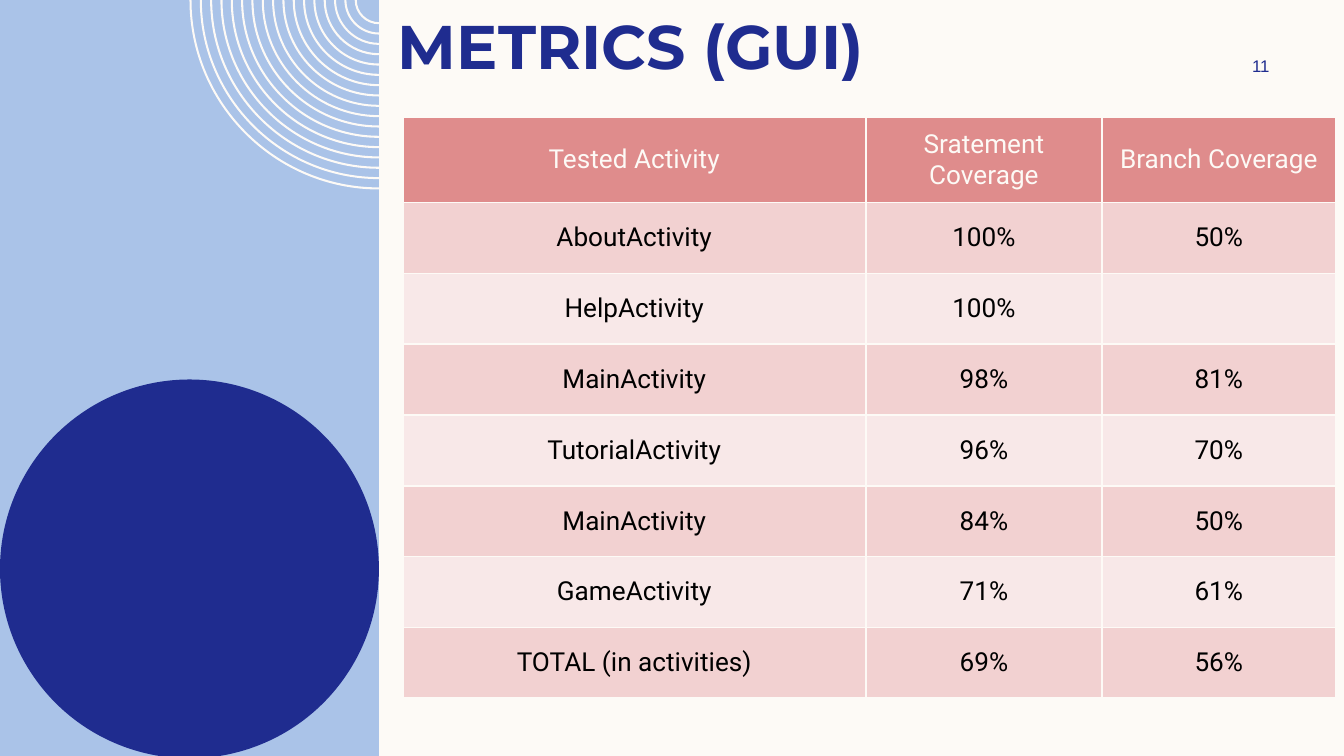
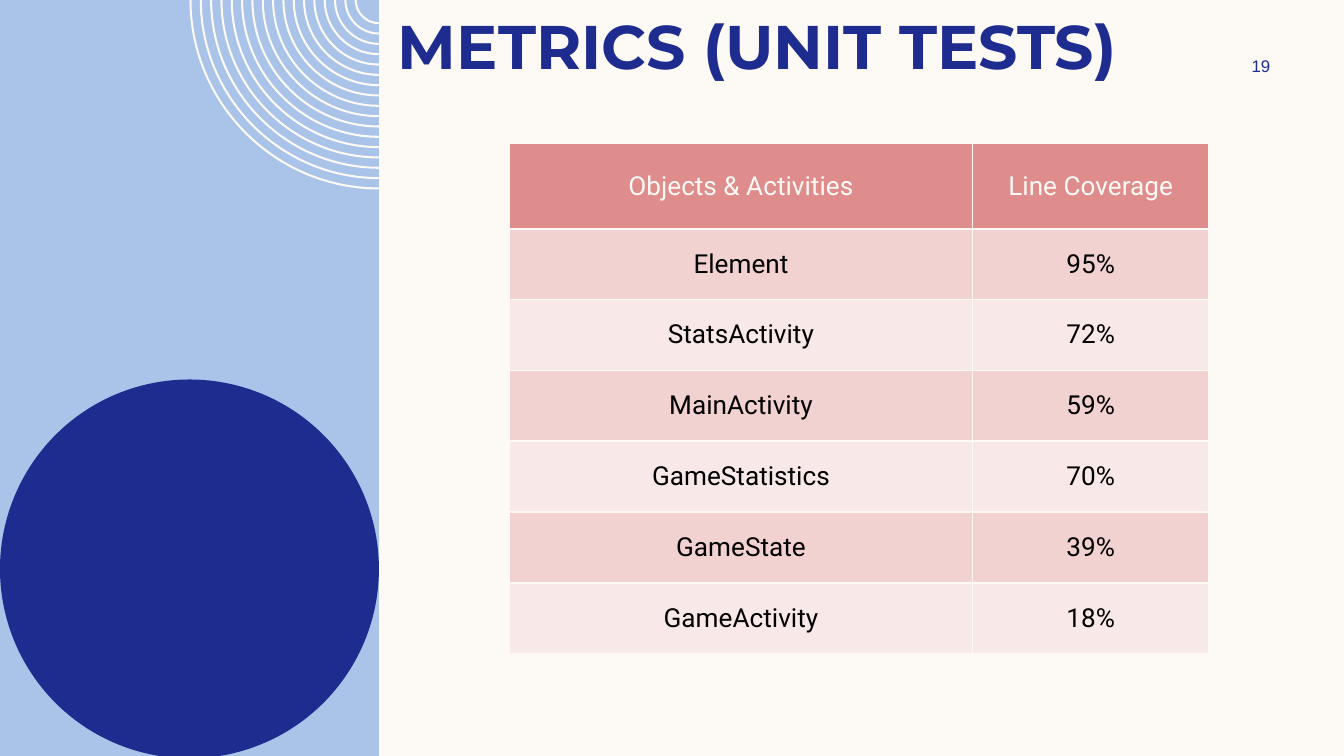
from lxml.etree import SubElement
from pptx import Presentation
from pptx.dml.color import RGBColor as RGB
from pptx.enum.shapes import MSO_SHAPE as SHAPE
from pptx.enum.text import MSO_ANCHOR as ANCHOR, MSO_AUTO_SIZE as AUTO, PP_ALIGN as ALIGN
from pptx.oxml.ns import qn
from pptx.util import Pt

CREAM = RGB(0xFD, 0xFA, 0xF6)
SKY = RGB(0xAA, 0xC3, 0xE8)
NAVY = RGB(0x1F, 0x2C, 0x8F)
ROSE = RGB(0xDF, 0x8C, 0x8C)
PINK = RGB(0xF2, 0xD1, 0xD1)
BLUSH = RGB(0xF8, 0xE8, 0xE8)
BLACK = RGB(0, 0, 0)

WIDE, HIGH = 720, 405
PANEL = (0, 0, 203, 406.3)
TITLE = (206, 0.7, 482, 45.4)
NUMBER = (646.3, 27, 58.3, 16.6)
RINGS = 17
BEND = 0.55  # handle length of a quarter circle, as a share of its radius
HEAD, ROW = 45.8, 37.95

GUI = [
    ("Tested Activity", "Sratement Coverage", "Branch Coverage"),
    ("AboutActivity", "100%", "50%"),
    ("HelpActivity", "100%", ""),
    ("MainActivity", "98%", "81%"),
    ("TutorialActivity", "96%", "70%"),
    ("MainActivity", "84%", "50%"),
    ("GameActivity", "71%", "61%"),
    ("TOTAL (in activities)", "69%", "56%"),
]
UNIT = [
    ("Objects & Activities", "Line Coverage"),
    ("Element", "95%"),
    ("StatsActivity", "72%"),
    ("MainActivity", "59%"),
    ("GameStatistics", "70%"),
    ("GameState", "39%"),
    ("GameActivity", "18%"),
]


def style(para, name, size, color, bold=False, align=ALIGN.CENTER):
    para.alignment = align
    for run in para.runs:
        font = run.font
        font.name, font.size, font.bold = name, Pt(size), bold
        font.color.rgb = color


def paint(shape, color):
    shape.shadow.inherit = False
    shape.fill.solid()
    shape.fill.fore_color.rgb = color
    shape.line.fill.background()
    return shape


def bend(line, start, down):
    """Turn a straight segment into a quarter circle, leaving start upright if down."""
    x, y = start
    end = line[0]
    to_x, to_y = int(end.get("x")), int(end.get("y"))
    dx, dy = (to_x - x) * BEND, (to_y - y) * BEND
    if down:
        grips = (x, y + dy), (to_x - dx, to_y)
    else:
        grips = (x + dx, y), (to_x, to_y - dy)
    curve = line.makeelement(qn("a:cubicBezTo"))
    for grip_x, grip_y in grips:
        SubElement(curve, qn("a:pt"), x=str(round(grip_x)), y=str(round(grip_y)))
    line.getparent().replace(line, curve)
    curve.append(end)


def add_rings(slide, x, y, radius):
    """Thin quarter rings below and left of the centre x, y."""
    pen = slide.shapes.build_freeform(Pt(x - radius), Pt(y))
    gap = (radius - 13) / (RINGS - 1)
    for i in range(RINGS):
        outer = radius - gap * i
        inner = outer - 1.1
        first = (Pt(x - outer), Pt(y))
        if i:
            pen.move_to(*first)
        pen.add_line_segments([
            (Pt(x - inner), Pt(y)), (Pt(x), Pt(y + inner)),
            (Pt(x), Pt(y + outer)), first], close=True)
    shape = paint(pen.convert_to_shape(), CREAM)
    lines = list(shape.element.iter(qn("a:lnTo")))
    spots = [(int(line[0].get("x")), int(line[0].get("y"))) for line in lines]
    for i in range(1, len(lines), 2):
        bend(lines[i], spots[i - 1], i % 4 == 1)
    return shape


def add_panel(slide, box):
    """Draw the side panel and move it to the layout, which all slides share."""
    x, y, w, h = box
    shapes = slide.shapes
    band = shapes.add_shape(SHAPE.RECTANGLE, Pt(x), Pt(y), Pt(w), Pt(h))
    rings = add_rings(slide, x + w, y, w / 2)
    disc = shapes.add_shape(SHAPE.OVAL, Pt(x), Pt(y + h - w), Pt(w), Pt(w))
    for part in (paint(band, SKY), rings, paint(disc, NAVY)):
        slide.slide_layout.shapes.element.append(part.element)


def add_title(slide, box, text):
    title = slide.shapes.title
    title.left, title.top, title.width, title.height = map(Pt, box)
    frame = title.text_frame
    frame.text = text
    frame.auto_size = AUTO.NONE
    frame.vertical_anchor = ANCHOR.TOP
    style(frame.paragraphs[0], "Montserrat", 33, NAVY, True, ALIGN.LEFT)


def add_number(slide, box, number):
    frame = slide.shapes.add_textbox(*map(Pt, box)).text_frame
    frame.text = str(number)
    frame.word_wrap = True
    frame.vertical_anchor = ANCHOR.MIDDLE
    style(frame.paragraphs[0], "Arial", 9, NAVY)


def add_edges(cell):
    props = cell._tc.get_or_add_tcPr()
    for side in "LRTB":
        line = SubElement(props, qn(f"a:ln{side}"), w=str(Pt(1)))
        fill = SubElement(line, qn("a:solidFill"))
        SubElement(fill, qn("a:srgbClr"), val=str(CREAM))


def fill_cell(cell, text, row):
    head = row == 0
    add_edges(cell)
    cell.fill.solid()
    cell.fill.fore_color.rgb = ROSE if head else PINK if row % 2 else BLUSH
    cell.margin_left = cell.margin_right = Pt(5.4)
    cell.margin_top = cell.margin_bottom = Pt(2.7)
    cell.vertical_anchor = ANCHOR.MIDDLE
    if text:
        cell.text = text
        style(cell.text_frame.paragraphs[0], "Roboto", 14, CREAM if head else BLACK)


def add_grid(slide, x, y, cols, rows):
    high = HEAD + ROW * (len(rows) - 1)
    frame = slide.shapes.add_table(
        len(rows), len(cols), Pt(x), Pt(y), Pt(sum(cols)), Pt(high))
    table = frame.table
    table.horz_banding = False
    for col, width in zip(table.columns, cols):
        col.width = Pt(width)
    for r, texts in enumerate(rows):
        table.rows[r].height = Pt(ROW if r else HEAD)
        for c, text in enumerate(texts):
            fill_cell(table.cell(r, c), text, r)


def add_metrics(deck, title, number, x, y, cols, rows):
    slide = deck.slides.add_slide(deck.slide_layouts[5])
    add_title(slide, TITLE, title)
    add_number(slide, NUMBER, number)
    add_grid(slide, x, y, cols, rows)
    return slide


def main():
    deck = Presentation()
    deck.slide_width, deck.slide_height = Pt(WIDE), Pt(HIGH)
    back = deck.slide_master.background.fill
    back.solid()
    back.fore_color.rgb = CREAM
    cols = (248, 126.7, 125)
    first = add_metrics(deck, "METRICS (GUI)", 11, 215.8, 62.8, cols, GUI)
    add_panel(first, PANEL)
    add_metrics(deck, "METRICS (UNIT TESTS)", 19, 273, 76.8, cols[:2], UNIT)
    deck.save("out.pptx")


if __name__ == "__main__":
    main()
